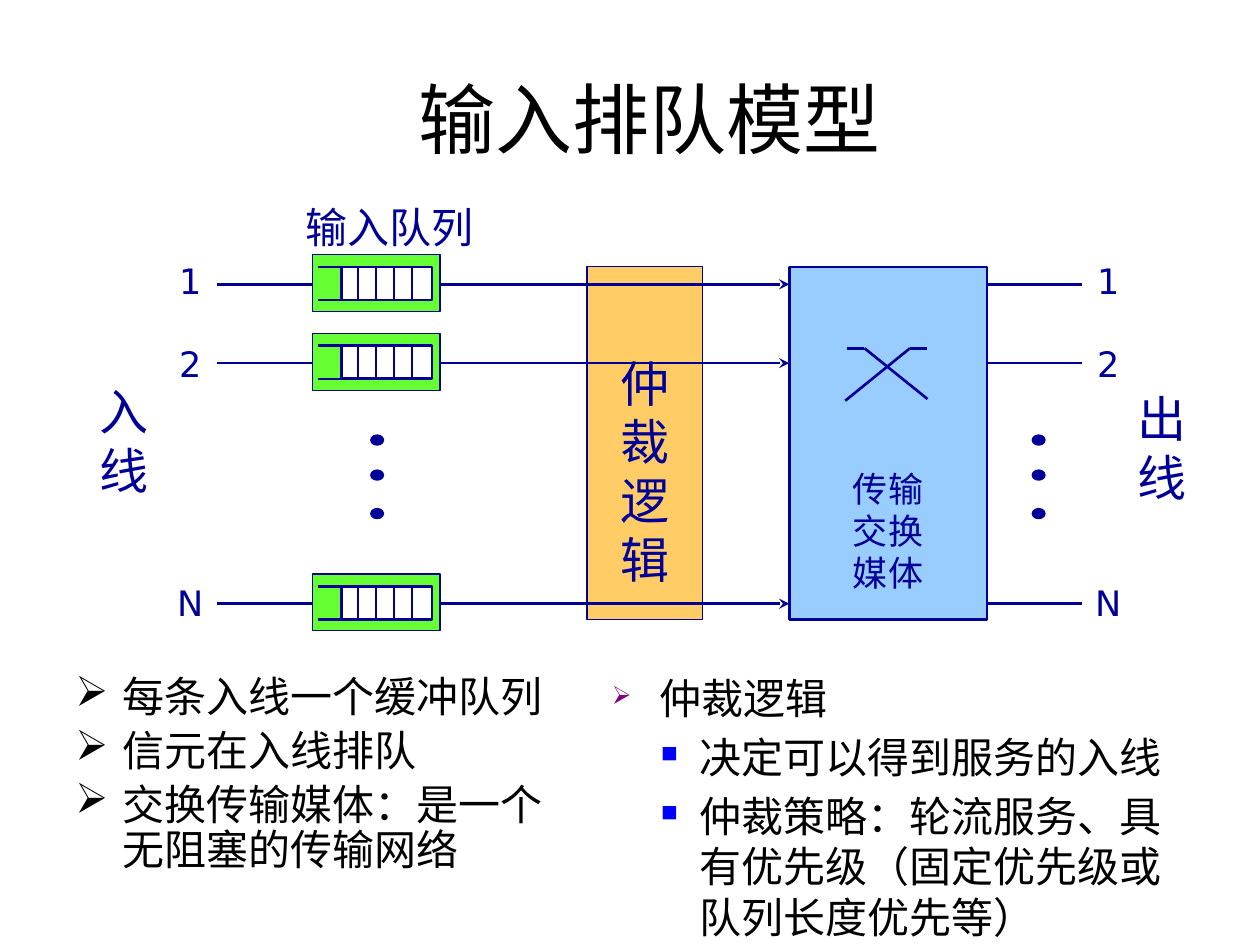
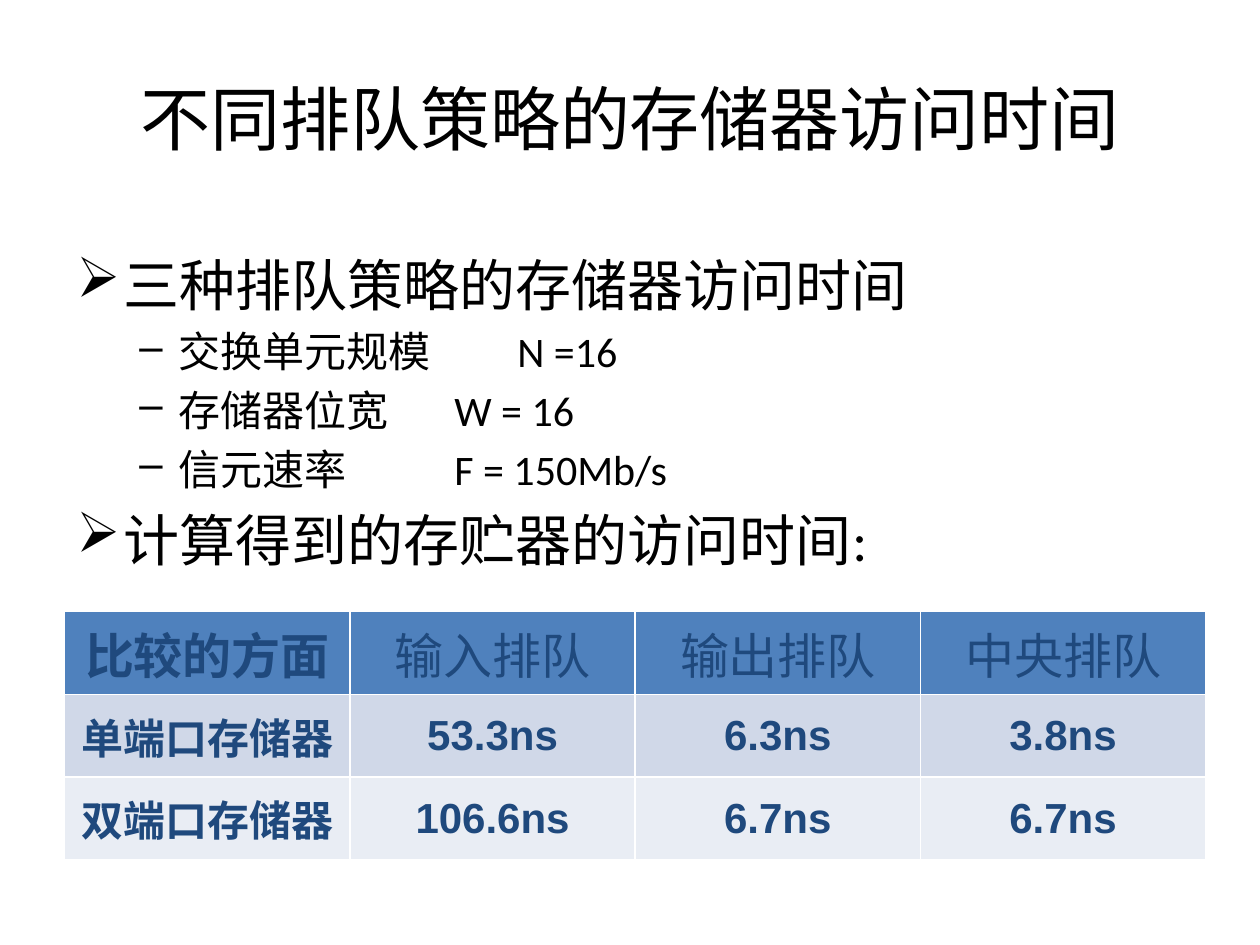
from lxml import etree
from pptx import Presentation
from pptx.dml.color import RGBColor
from pptx.enum.shapes import MSO_CONNECTOR, MSO_SHAPE
from pptx.enum.text import MSO_ANCHOR, PP_ALIGN
from pptx.oxml.ns import qn
from pptx.util import Pt

LINE = MSO_CONNECTOR.STRAIGHT
RECT, OVAL = MSO_SHAPE.RECTANGLE, MSO_SHAPE.OVAL
TOP, MIDDLE = MSO_ANCHOR.TOP, MSO_ANCHOR.MIDDLE
LEFT, CENTER = PP_ALIGN.LEFT, PP_ALIGN.CENTER

BLACK, WHITE, NAVY = "000000", "FFFFFF", "000099"
ORANGE, GREEN, SKY = "FFCC66", "66FF33", "99CCFF"
PURPLE, BLUE = "800080", "0000FF"
HEAD, BAND, PALE, INK = "4F81BD", "D0D8E8", "E9EDF4", "1F497D"
BODY, LABEL, TABLE = "Calibri", "DejaVu Sans", "Arial"

# Label, height of the line, height of the label's centre
PORTS = [("1", 162.5, 160), ("2", 207.5, 207.5), ("N", 345, 344.5)]
DOTS = [251.5, 271.5, 293.5]
CROSS = [[(484, 199), (494, 199), (530, 228)],
         [(483, 229), (520, 199), (530, 199)]]
TIMES = [["比较的方面", "输入排队", "输出排队", "中央排队"],
         ["单端口存储器", "53.3ns", "6.3ns", "3.8ns"],
         ["双端口存储器", "106.6ns", "6.7ns", "6.7ns"]]


def color(hue):
    return RGBColor.from_string(hue)


def add_node(parent, tag, **attrs):
    return etree.SubElement(parent, qn(tag), attrs)


def style(para, size, name, hue, bold=False):
    font = para.font
    font.size, font.name, font.bold = Pt(size), name, bold
    font.color.rgb = color(hue)


def add_slide(deck, text, size, *box):
    """Add a title-only slide with its title in the given box."""
    slide = deck.slides.add_slide(deck.slide_layouts[5])
    title = slide.shapes.title
    title.left, title.top, title.width, title.height = map(Pt, box)
    frame = title.text_frame
    frame.text, frame.vertical_anchor = text, MIDDLE
    para = frame.paragraphs[0]
    para.alignment = CENTER
    style(para, size, BODY, BLACK)
    return slide


def add_frame(slide, box, anchor):
    frame = slide.shapes.add_textbox(*map(Pt, box)).text_frame
    frame.word_wrap, frame.vertical_anchor = True, anchor
    return frame


def next_para(frame, text):
    """Fill the first paragraph, or append one once it has text."""
    para = frame.paragraphs[0]
    if para.runs:
        para = frame.add_paragraph()
    para.text = text
    return para


def add_label(slide, lines, size, *box, inset=True):
    frame = add_frame(slide, box, MIDDLE)
    if not inset:
        frame.margin_left = frame.margin_right = 0
        frame.margin_top = frame.margin_bottom = 0
    for line in lines:
        para = next_para(frame, line)
        para.alignment = CENTER
        style(para, size, LABEL, NAVY)


def add_item(frame, text, size, mark, left, hang, level=0,
             hue=None, scale=100, lead=None):
    """Append a bulleted paragraph; hang is the width of its bullet."""
    para = next_para(frame, text)
    para.level, para.alignment = level, LEFT
    para.space_before = Pt(size * 0.2)
    if lead:
        para.line_spacing = lead
    props = para._p.get_or_add_pPr()
    props.set("marL", str(Pt(left)))
    props.set("indent", str(-Pt(hang)))
    if hue:
        add_node(add_node(props, "a:buClr"), "a:srgbClr", val=hue)
    add_node(props, "a:buSzPct", val=str(scale * 1000))
    add_node(props, "a:buChar", char=mark)
    style(para, size, BODY, BLACK)


def add_block(slide, kind, fill, width, *box):
    shape = slide.shapes.add_shape(kind, *map(Pt, box))
    shape.shadow.inherit = False
    shape.fill.solid()
    shape.fill.fore_color.rgb = color(fill)
    shape.line.color.rgb = color(NAVY)
    shape.line.width = Pt(width)


def add_line(slide, start, end, arrow=False):
    wire = slide.shapes.add_connector(LINE, *map(Pt, start + end))
    wire.line.color.rgb = color(NAVY)
    wire.line.width = Pt(1.5)
    if arrow:
        add_node(wire.line._get_or_add_ln(), "a:tailEnd", type="stealth")
    add_node(wire._element.spPr, "a:effectLst")


def add_queue(slide, y):
    """Draw an input buffer centred on y, with the lines into and out of it."""
    add_block(slide, RECT, GREEN, 0.75, 178.5, y - 17, 73, 32.5)
    top, base = y - 10, y + 9
    add_block(slide, RECT, WHITE, 1.5, 195, top, 52, base - top)
    for edge in (top, base):
        add_line(slide, (181.5, edge), (195, edge))
    for i in range(4):
        x = 204.5 + 10.3 * i
        add_line(slide, (x, top), (x, base))
    add_line(slide, (251.5, y), (451, y), arrow=True)
    add_line(slide, (124, y), (178.5, y))


def add_table(slide, rows, *box):
    frame = slide.shapes.add_table(len(rows), len(rows[0]), *map(Pt, box))
    table = frame.table
    for r, (row, fill) in enumerate(zip(rows, (HEAD, BAND, PALE))):
        for c, text in enumerate(row):
            cell = table.cell(r, c)
            props = cell._tc.get_or_add_tcPr()
            for side in "LRTB":
                edge = add_node(props, "a:ln" + side, w=str(Pt(1)))
                paint = add_node(edge, "a:solidFill")
                add_node(paint, "a:srgbClr", val=WHITE)
            cell.fill.solid()
            cell.fill.fore_color.rgb = color(fill)
            cell.text, cell.vertical_anchor = text, MIDDLE
            para = cell.text_frame.paragraphs[0]
            para.alignment = CENTER
            style(para, 24 if r else 28, TABLE, INK, bold=r > 0 or c == 0)


def draw_model(deck):
    slide = add_slide(deck, "输入排队模型", 44, 65, 21, 613, 92)
    add_block(slide, RECT, ORANGE, 0.75, 335.5, 152.5, 66, 201.5)
    for _, y, _ in PORTS:
        add_queue(slide, y)
    add_block(slide, RECT, SKY, 1.5, 451, 152.5, 113, 201.5)
    for name, y, mid in PORTS:
        add_line(slide, (564, y), (618.5, y))
        for x in (94, 618.5):
            add_label(slide, [name], 20, x, mid - 13, 29.5, 26, inset=False)
    for path in CROSS:
        for start, end in zip(path, path[1:]):
            add_line(slide, start, end)
    for x in (215.5, 593.5):
        for y in DOTS:
            add_block(slide, OVAL, NAVY, 1.5, x - 3.25, y - 2.5, 6.5, 5)

    add_label(slide, ["传输", "交换", "媒体"], 20, 451, 260.5, 113, 85)
    add_label(slide, ["仲裁", "逻辑"], 28, 335.5, 193.5, 66, 151)
    add_label(slide, ["出线"], 28, 641.5, 215.5, 44.5, 80)
    add_label(slide, ["入线"], 28, 50, 211.5, 37.5, 80)
    add_label(slide, ["输入队列"], 24, 150.5, 114, 144, 31, inset=False)

    notes = add_frame(slide, (36, 383, 301, 119.5), TOP)
    for text in ("每条入线一个缓冲队列", "信元在入线排队",
                 "交换传输媒体：是一个无阻塞的传输网络"):
        add_item(notes, text, 24, "➢", 27, 27, lead=0.9)
    logic = add_frame(slide, (342.5, 381, 345, 159), TOP)
    add_item(logic, "仲裁逻辑", 24, "➢", 27, 27, hue=PURPLE, scale=60)
    for text in ("决定可以得到服务的入线",
                 "仲裁策略：轮流服务、具有优先级（固定优先级或队列长度优先等）"):
        add_item(logic, text, 24, "■", 50, 22, 1, BLUE, 55)


def draw_times(deck):
    slide = add_slide(deck, "不同排队策略的存储器访问时间", 40, 36, 22, 648, 90)
    body = add_frame(slide, (36.5, 139.5, 669, 364), TOP)
    add_item(body, "三种排队策略的存储器访问时间", 32, "➢", 27, 27)
    for text in ("交换单元规模\t\tN =16", "存储器位宽\t\tW = 16",
                 "信元速率\t\tF = 150Mb/s"):
        add_item(body, text, 24, "–", 58.5, 22.5, 1)
    add_item(body, "计算得到的存贮器的访问时间:", 32, "➢", 27, 27)
    add_table(slide, TIMES, 37, 349.5, 652, 142)


def main():
    deck = Presentation()
    deck.slide_width, deck.slide_height = Pt(720), Pt(540)
    draw_model(deck)
    draw_times(deck)
    deck.save("out.pptx")


if __name__ == "__main__":
    main()
